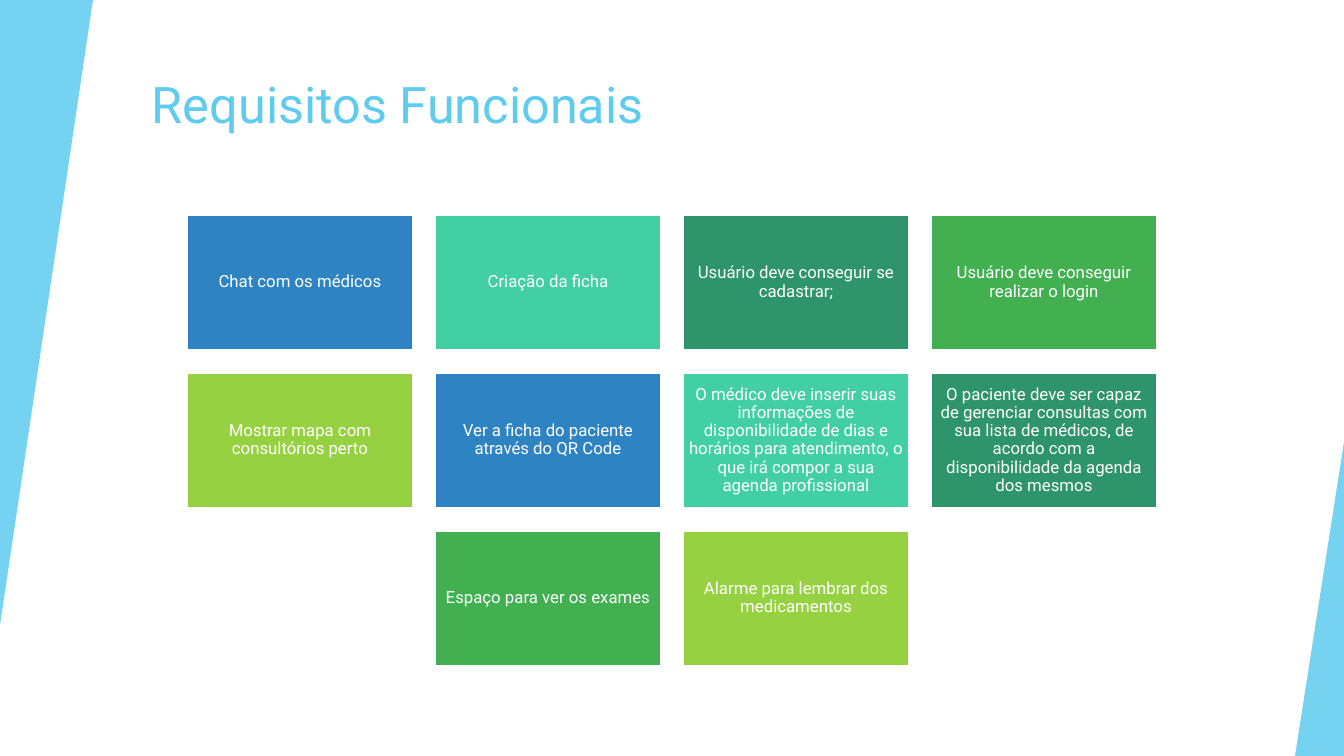
from dataclasses import dataclass

from lxml.etree import SubElement
from pptx import Presentation
from pptx.dml.color import RGBColor
from pptx.enum.shapes import MSO_SHAPE
from pptx.enum.text import MSO_ANCHOR, PP_ALIGN
from pptx.oxml.ns import qn
from pptx.util import Pt

SLIDE_WIDTH, SLIDE_HEIGHT = 1344, 756
EMU_PER_PX = 12192000 / SLIDE_WIDTH


@dataclass(frozen=True)
class Theme:
    font: str = "Roboto"
    title_size: int = 36
    card_size: int = 12
    accent: str = "5FCBEF"
    white: str = "FFFFFF"
    cards: tuple = ("2E83C3", "42D0A2", "2E946B", "42B051", "96D141")
    wedge_opacity: int = 85


THEME = Theme()

REQUIREMENT_ROWS = [
    ["Chat com os médicos", "Criação da ficha",
     "Usuário deve conseguir se cadastrar;",
     "Usuário deve conseguir realizar o login"],
    ["Mostrar mapa com consultórios perto",
     "Ver a ficha do paciente através do QR Code",
     "O médico deve inserir suas informações de disponibilidade de dias e "
     "horários para atendimento, o que irá compor a sua agenda profissional",
     "O paciente deve ser capaz de gerenciar consultas com sua lista de "
     "médicos, de acordo com a disponibilidade da agenda dos mesmos"],
    ["Espaço para ver os exames", "Alarme para lembrar dos medicamentos"],
]


def px(length):
    return round(length * EMU_PER_PX)


def emu_box(box):
    return [px(length) for length in box]


def style_text(frame, size, color):
    frame.word_wrap = True
    font = frame.paragraphs[0].runs[0].font
    font.name = THEME.font
    font.size = Pt(size)
    font.color.rgb = RGBColor.from_string(color)


def add_filled_shape(slide, preset, box, color):
    shape = slide.shapes.add_shape(preset, *emu_box(box))
    shape.shadow.inherit = False
    shape.fill.solid()
    shape.fill.fore_color.rgb = RGBColor.from_string(color)
    return shape


def add_wedge(slide, box, rotation=0):
    """Add a translucent right-angled triangle with its upright side on the right."""
    wedge = add_filled_shape(slide, MSO_SHAPE.ISOSCELES_TRIANGLE, box, THEME.accent)
    wedge.adjustments[0] = 1
    wedge.rotation = rotation
    wedge.line.fill.background()
    color = wedge.fill._xPr.find(qn("a:solidFill")).find(qn("a:srgbClr"))
    SubElement(color, qn("a:alpha"), val=str(THEME.wedge_opacity * 1000))


def add_title(slide, box, text):
    title = slide.shapes.add_textbox(*emu_box(box))
    title.text_frame.text = text
    style_text(title.text_frame, THEME.title_size, THEME.accent)


def add_card(slide, box, text, color):
    card = add_filled_shape(slide, MSO_SHAPE.RECTANGLE, box, color)
    card.line.color.rgb = RGBColor.from_string(THEME.white)
    card.line.width = Pt(1.5)
    frame = card.text_frame
    frame.text = text
    frame.vertical_anchor = MSO_ANCHOR.MIDDLE
    frame.margin_left = frame.margin_right = px(5)
    frame.margin_top = frame.margin_bottom = px(5)
    frame.paragraphs[0].alignment = PP_ALIGN.CENTER
    frame.paragraphs[0].line_spacing = 0.9
    style_text(frame, THEME.card_size, THEME.white)


def add_card_grid(slide, box, rows, gap_x=22, gap_y=23):
    """Fill the box with cards, centring short rows and cycling the colours."""
    left, top, width, height = box
    columns = max(len(row) for row in rows)
    card_width = (width - gap_x * (columns - 1)) // columns
    card_height = (height - gap_y * (len(rows) - 1)) // len(rows)
    step_x, step_y = card_width + gap_x, card_height + gap_y
    position = 0
    for row_index, row in enumerate(rows):
        row_left = left + (columns - len(row)) * step_x // 2
        for column, text in enumerate(row):
            card_box = (row_left + column * step_x, top + row_index * step_y,
                        card_width, card_height)
            add_card(slide, card_box, text, THEME.cards[position % len(THEME.cards)])
            position += 1


def add_requirements_slide(presentation):
    slide = presentation.slides.add_slide(presentation.slide_layouts[6])
    slide.background.fill.solid()
    slide.background.fill.fore_color.rgb = RGBColor.from_string(THEME.white)
    add_title(slide, (142, 68, 1124, 121), "Requisitos Funcionais")
    add_wedge(slide, (0, 0, 93, 625), rotation=180)
    add_wedge(slide, (SLIDE_WIDTH - 49, SLIDE_HEIGHT - 314, 49, 314))
    add_card_grid(slide, (187, 215, 970, 451), REQUIREMENT_ROWS)


def main():
    presentation = Presentation()
    presentation.slide_width = px(SLIDE_WIDTH)
    presentation.slide_height = px(SLIDE_HEIGHT)
    add_requirements_slide(presentation)
    presentation.save("out.pptx")


if __name__ == "__main__":
    main()
